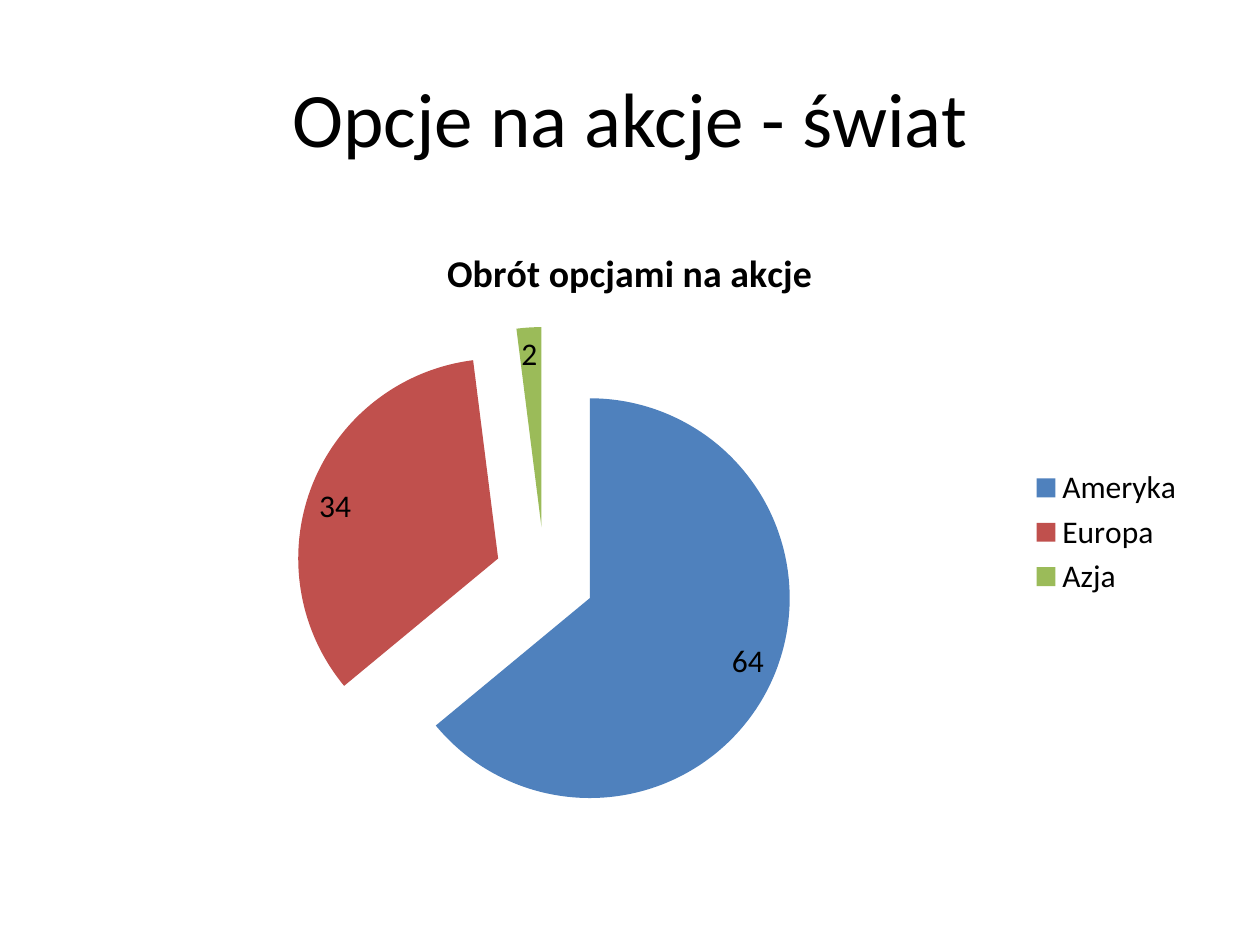
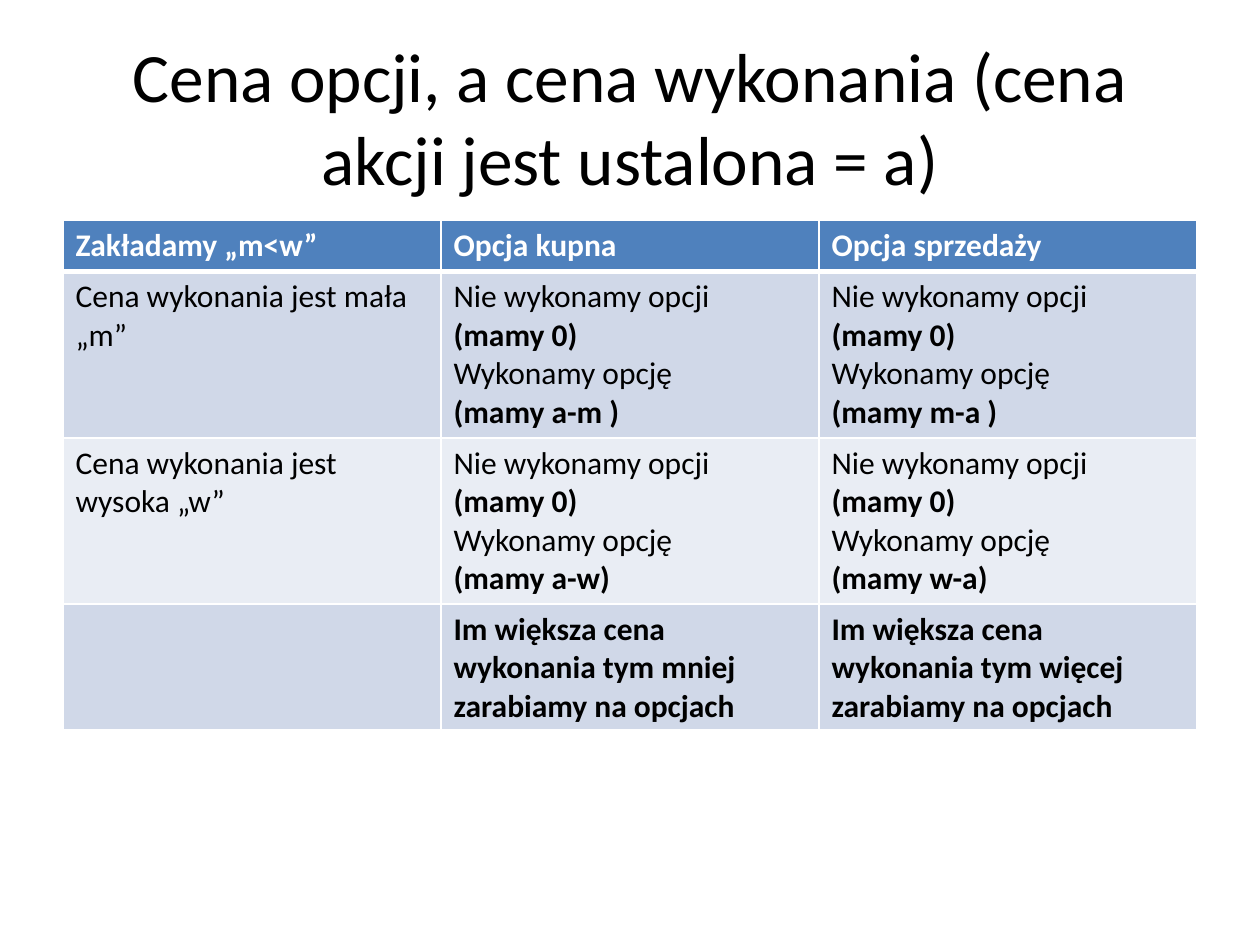
from dataclasses import dataclass

import pptx
import pptx.chart.data
import pptx.dml.color
import pptx.enum.chart
import pptx.enum.text
import pptx.oxml
import pptx.oxml.ns
import pptx.util

Pt = pptx.util.Pt
RGBColor = pptx.dml.color.RGBColor


@dataclass(frozen=True)
class Theme:
    font: str = "Calibri"
    black: str = "000000"
    white: str = "FFFFFF"
    header: str = "4F81BD"
    bands: tuple[str, str] = ("D0D8E8", "E9EDF4")
    slices: tuple[str, ...] = ("4F81BD", "C0504D", "9BBB59")
    title: float = 44
    long_title: float = 39.6
    chart_title: float = 21.6
    body: float = 18


@dataclass(frozen=True)
class Run:
    text: str
    bold: bool = False


@dataclass(frozen=True)
class Box:
    left: float
    top: float
    width: float
    height: float

    def lengths(self) -> list[pptx.util.Length]:
        return [Pt(value) for value in (self.left, self.top, self.width, self.height)]


THEME = Theme()
TITLE_BOX = Box(36, 21.6, 648, 90)
CHART_BOX = Box(36, 126, 648, 356.4)
ROW_HEIGHTS = (29.2, 95, 95, 72)
TABLE_BOX = Box(36, 126, 648, sum(ROW_HEIGHTS))
Paragraphs = list[list[Run]]


# Shared helpers
def style_font(font, *, size: float, color: str = THEME.black, bold: bool = False) -> None:
    font.name = THEME.font
    font.size = Pt(size)
    font.bold = bold
    font.color.rgb = RGBColor.from_string(color)


def write_text(frame, paragraphs: Paragraphs, *, size: float = THEME.body,
               color: str = THEME.black, align=pptx.enum.text.PP_ALIGN.LEFT) -> None:
    for index, runs in enumerate(paragraphs):
        paragraph = frame.add_paragraph() if index else frame.paragraphs[0]
        paragraph.alignment = align
        for item in runs:
            run = paragraph.add_run()
            run.text = item.text
            style_font(run.font, size=size, color=color, bold=item.bold)


def add_titled_slide(presentation, title: str, *, size: float = THEME.title):
    slide = presentation.slides.add_slide(presentation.slide_layouts[6])
    frame = slide.shapes.add_textbox(*TITLE_BOX.lengths()).text_frame
    frame.word_wrap = True
    frame.vertical_anchor = pptx.enum.text.MSO_ANCHOR.MIDDLE
    write_text(frame, [[Run(title)]], size=size, align=pptx.enum.text.PP_ALIGN.CENTER)
    return slide


# Exploded pie
def add_turnover_pie(slide, title: str, shares: dict[str, int], *, explosion: int) -> None:
    data = pptx.chart.data.CategoryChartData()
    data.categories = list(shares)
    data.add_series(title, list(shares.values()))
    chart = slide.shapes.add_chart(
        pptx.enum.chart.XL_CHART_TYPE.PIE, *CHART_BOX.lengths(), data).chart
    style_font(chart.font, size=THEME.body)
    chart.has_title = True
    write_text(chart.chart_title.text_frame, [[Run(title, bold=True)]],
               size=THEME.chart_title, align=pptx.enum.text.PP_ALIGN.CENTER)
    chart.has_legend = True
    chart.legend.position = pptx.enum.chart.XL_LEGEND_POSITION.RIGHT
    chart.legend.include_in_layout = False

    plot = chart.plots[0]
    plot.vary_by_categories = True
    for index, color in enumerate(THEME.slices):
        point = plot.series[0].points[index]
        point.format.fill.solid()
        point.format.fill.fore_color.rgb = RGBColor.from_string(color)
        point.data_label.position = pptx.enum.chart.XL_LABEL_POSITION.INSIDE_END
    first_point = chart.element.xpath(".//c:ser/c:dPt")[0]
    first_point.addprevious(pptx.oxml.parse_xml(
        f'<c:explosion {pptx.oxml.ns.nsdecls("c")} val="{explosion}"/>'))


# Comparison table
def set_borders(cell_element, *, top: float, bottom: float) -> None:
    properties = cell_element.get_or_add_tcPr()
    for index, (side, width) in enumerate(
            (("L", 1), ("R", 1), ("T", top), ("B", bottom))):
        properties.insert(index, pptx.oxml.parse_xml(
            f'<a:ln{side} {pptx.oxml.ns.nsdecls("a")} w="{Pt(width)}"><a:solidFill>'
            f'<a:srgbClr val="{THEME.white}"/></a:solidFill></a:ln{side}>'))


def add_option_table(slide, rows: list[list[Paragraphs]]) -> None:
    shape = slide.shapes.add_table(len(rows), len(rows[0]), *TABLE_BOX.lengths())
    table = shape.table
    for row, height in zip(table.rows, ROW_HEIGHTS):
        row.height = Pt(height)
    for row_index, row in enumerate(rows):
        is_header = row_index == 0
        fill = THEME.header if is_header else THEME.bands[(row_index - 1) % 2]
        for column_index, paragraphs in enumerate(row):
            cell = table.cell(row_index, column_index)
            cell.fill.solid()
            cell.fill.fore_color.rgb = RGBColor.from_string(fill)
            write_text(cell.text_frame, paragraphs,
                       color=THEME.white if is_header else THEME.black)
    for row_index, row_element in enumerate(shape.element.xpath(".//a:tr")):
        for cell_element in row_element.xpath("./a:tc"):
            set_borders(cell_element, top=3 if row_index == 1 else 1,
                        bottom=3 if row_index == 0 else 1)


def outcome(payoff: str) -> Paragraphs:
    return [[Run("Nie wykonamy opcji "), Run("(mamy 0)", bold=True)],
            [Run("Wykonamy opcję")],
            [Run(payoff, bold=True)]]


def conclusion(amount: str) -> Paragraphs:
    return [[Run(f"Im większa cena wykonania tym {amount} zarabiamy na opcjach", bold=True)]]


def main() -> None:
    presentation = pptx.Presentation()
    presentation.slide_width, presentation.slide_height = Pt(720), Pt(540)

    # Slide 1: world turnover
    slide = add_titled_slide(presentation, "Opcje na akcje - świat")
    add_turnover_pie(slide, "Obrót opcjami na akcje",
                     {"Ameryka": 64, "Europa": 34, "Azja": 2}, explosion=25)

    # Slide 2: option price and strike price
    slide = add_titled_slide(
        presentation, "Cena opcji, a cena wykonania (cena akcji jest ustalona = a)",
        size=THEME.long_title)
    headings = ("Zakładamy „m<w”", "Opcja kupna", "Opcja sprzedaży")
    add_option_table(slide, [
        [[[Run(heading, bold=True)]] for heading in headings],
        [[[Run("Cena wykonania jest mała „m”")]],
         outcome("(mamy a-m )"), outcome("(mamy m-a )")],
        [[[Run("Cena wykonania jest wysoka „w”")]],
         outcome("(mamy a-w)"), outcome("(mamy w-a)")],
        [[], conclusion("mniej"), conclusion("więcej")],
    ])

    presentation.save("out.pptx")


if __name__ == "__main__":
    main()
